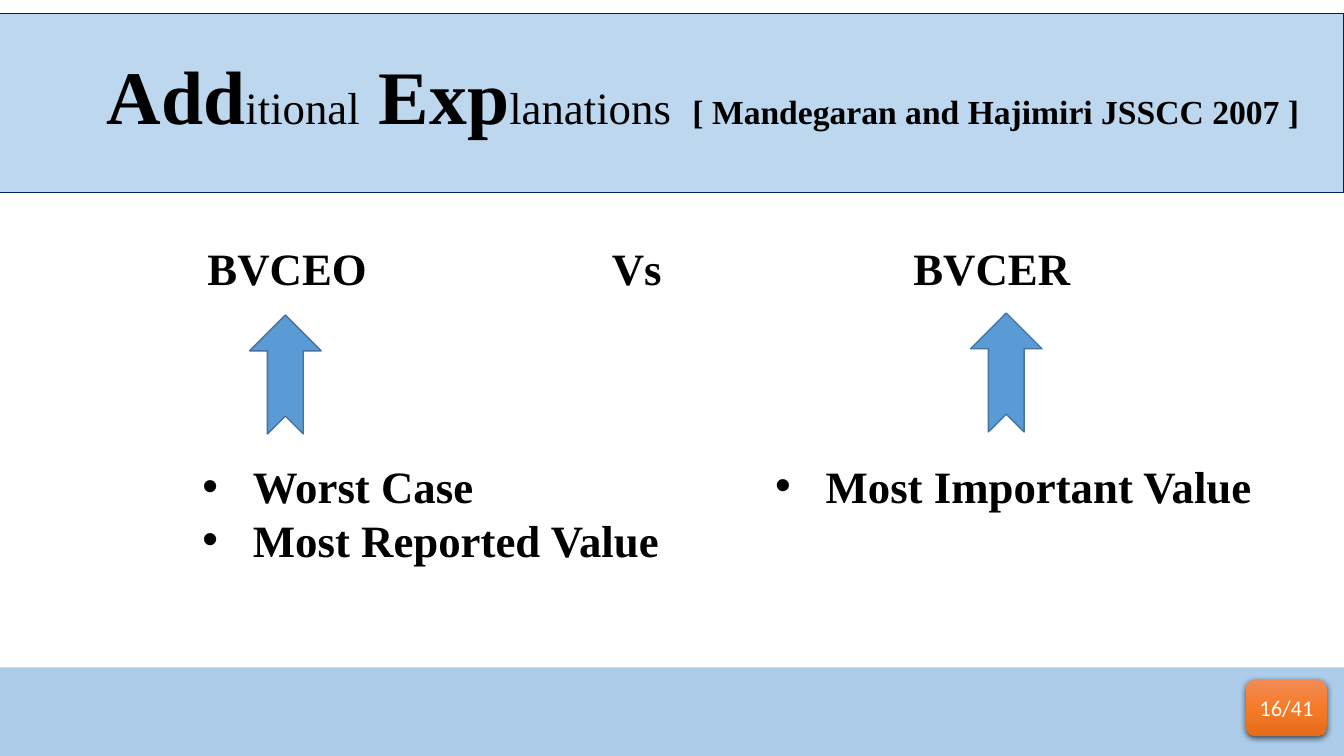
from copy import deepcopy
from dataclasses import dataclass

from lxml.etree import SubElement
from pptx import Presentation
from pptx.dml.color import RGBColor
from pptx.enum.shapes import MSO_SHAPE
from pptx.enum.text import MSO_ANCHOR, PP_ALIGN
from pptx.oxml.ns import qn
from pptx.shapes.autoshape import Shape
from pptx.slide import Slide
from pptx.text.text import _Paragraph as Paragraph
from pptx.util import Inches, Pt

BLACK = RGBColor(0x00, 0x00, 0x00)
WHITE = RGBColor(0xFF, 0xFF, 0xFF)
BLUE = RGBColor(0x5B, 0x9B, 0xD5)
PALE_BLUE = RGBColor(0xBD, 0xD7, 0xEE)
STEEL_BLUE = RGBColor(0x43, 0x73, 0x9E)
NAVY = RGBColor(0x00, 0x20, 0x60)
BADGE_STOPS = (
    (0, RGBColor(0xF1, 0x8C, 0x57)),
    (0.5, RGBColor(0xF6, 0x7B, 0x28)),
    (1, RGBColor(0xE5, 0x6C, 0x19)),
)
SERIF = "Times New Roman"


@dataclass(frozen=True)
class Box:
    left: float
    top: float
    width: float
    height: float

    def lengths(self) -> tuple:
        return tuple(map(Inches, (self.left, self.top, self.width, self.height)))


@dataclass(frozen=True)
class Piece:
    text: str
    size: int = 32
    bold: bool = True
    font: str = SERIF
    color: RGBColor = BLACK


@dataclass(frozen=True)
class TextBlock:
    box: Box
    lines: tuple[tuple[Piece, ...], ...]
    tabs: tuple[float, ...] = ()
    bulleted: bool = False


TEXT_BLOCKS = (
    TextBlock(
        Box(0.96, 0.44, 12.28, 1.35),
        ((
            Piece("Add", 54),
            Piece("itional", bold=False),
            Piece(" ", 54, False),
            Piece("Exp", 54),
            Piece("lanations\t", bold=False),
            Piece("[ Mandegaran and Hajimiri JSSCC 2007 ]", 24),
        ),),
        tabs=(5.81,),
    ),
    TextBlock(Box(1.96, 2.34, 10, 0.64), ((Piece("BVCEO\tVs\tBVCER"),),), tabs=(4.01, 7)),
    TextBlock(
        Box(1.91, 4.5, 5.41, 1.18),
        ((Piece("Worst Case"),), (Piece("Most Reported Value"),)),
        bulleted=True,
    ),
    TextBlock(Box(7.59, 4.5, 5.41, 0.64), ((Piece("Most Important Value"),),), bulleted=True),
)
ARROWS = (Box(2.24, 3.36, 1.18, 0.71), Box(9.39, 3.34, 1.18, 0.71))


def add_piece(paragraph: Paragraph, piece: Piece) -> None:
    run = paragraph.add_run()
    run.text = piece.text
    run.font.color.rgb = piece.color
    formats = {"name": piece.font, "size": Pt(piece.size), "bold": piece.bold}
    for name, value in formats.items():
        setattr(run.font, name, value)


def add_bullet(paragraph: Paragraph) -> None:
    properties = paragraph._p.get_or_add_pPr()
    properties.set("marL", str(Inches(0.5)))
    properties.set("indent", str(Inches(-0.5)))
    SubElement(properties, qn("a:buFont"), typeface="Arial")
    SubElement(properties, qn("a:buChar"), char="•")


def add_tabs(paragraph: Paragraph, tabs: tuple[float, ...]) -> None:
    tab_list = SubElement(paragraph._p.get_or_add_pPr(), qn("a:tabLst"))
    for position in tabs:
        SubElement(tab_list, qn("a:tab"), pos=str(Inches(position)), algn="l")


def add_text_block(slide: Slide, block: TextBlock) -> None:
    frame = slide.shapes.add_textbox(*block.box.lengths()).text_frame
    frame.word_wrap = True
    for index, pieces in enumerate(block.lines):
        paragraph = frame.add_paragraph() if index else frame.paragraphs[0]
        if block.bulleted:
            add_bullet(paragraph)
        if block.tabs:
            add_tabs(paragraph, block.tabs)
        for piece in pieces:
            add_piece(paragraph, piece)


def add_plain_shape(
    slide: Slide,
    kind: MSO_SHAPE,
    box: Box,
    fill: RGBColor,
    line: RGBColor | None = None,
    line_width: float = 1,
) -> Shape:
    shape = slide.shapes.add_shape(kind, *box.lengths())
    shape.shadow.inherit = False
    shape.fill.solid()
    shape.fill.fore_color.rgb = fill
    if line is None:
        shape.line.fill.background()
    else:
        shape.line.color.rgb = line
        shape.line.width = Pt(line_width)
    return shape


def add_footer_band(slide: Slide) -> None:
    band = add_plain_shape(slide, MSO_SHAPE.RECTANGLE, Box(0, 6.62, 13.33, 0.88), BLUE)
    color = band._element.spPr.find(qn("a:solidFill"))[0]
    SubElement(color, qn("a:alpha"), val="50000")


def add_page_badge(slide: Slide) -> None:
    box = Box(12.36, 6.74, 0.8, 0.56)
    badge = add_plain_shape(slide, MSO_SHAPE.ROUNDED_RECTANGLE, box, BADGE_STOPS[1][1])
    badge.fill.gradient()
    badge.fill.gradient_angle = 270
    properties = badge._element.spPr
    stop_list = properties.find(qn("a:gradFill")).find(qn("a:gsLst"))
    stop_list.insert(1, deepcopy(stop_list[0]))
    for stop, (position, color) in zip(badge.fill.gradient_stops, BADGE_STOPS):
        stop.position = position
        stop.color.rgb = color

    shadow = SubElement(
        properties.find(qn("a:effectLst")), qn("a:outerShdw"),
        blurRad=str(Pt(4.5)), dist=str(Pt(1.5)), dir="5400000", algn="ctr", rotWithShape="0",
    )
    shadow_color = SubElement(shadow, qn("a:srgbClr"), val=str(BLACK))
    SubElement(shadow_color, qn("a:alpha"), val="63000")

    frame = badge.text_frame
    frame.vertical_anchor = MSO_ANCHOR.MIDDLE
    frame.paragraphs[0].alignment = PP_ALIGN.CENTER
    add_piece(frame.paragraphs[0], Piece("16/41", 16, False, "Calibri", WHITE))


def main() -> None:
    presentation = Presentation()
    presentation.slide_width = Inches(13.33)
    presentation.slide_height = Inches(7.5)
    slide = presentation.slides.add_slide(presentation.slide_layouts[6])

    add_footer_band(slide)
    title_band = Box(0, 0.13, 13.33, 1.78)
    add_plain_shape(slide, MSO_SHAPE.RECTANGLE, title_band, PALE_BLUE, NAVY, 0.75)
    for block in TEXT_BLOCKS:
        add_text_block(slide, block)
    for box in ARROWS:
        arrow = add_plain_shape(slide, MSO_SHAPE.NOTCHED_RIGHT_ARROW, box, BLUE, STEEL_BLUE)
        arrow.rotation = 270
    add_page_badge(slide)
    presentation.save("out.pptx")


if __name__ == "__main__":
    main()
